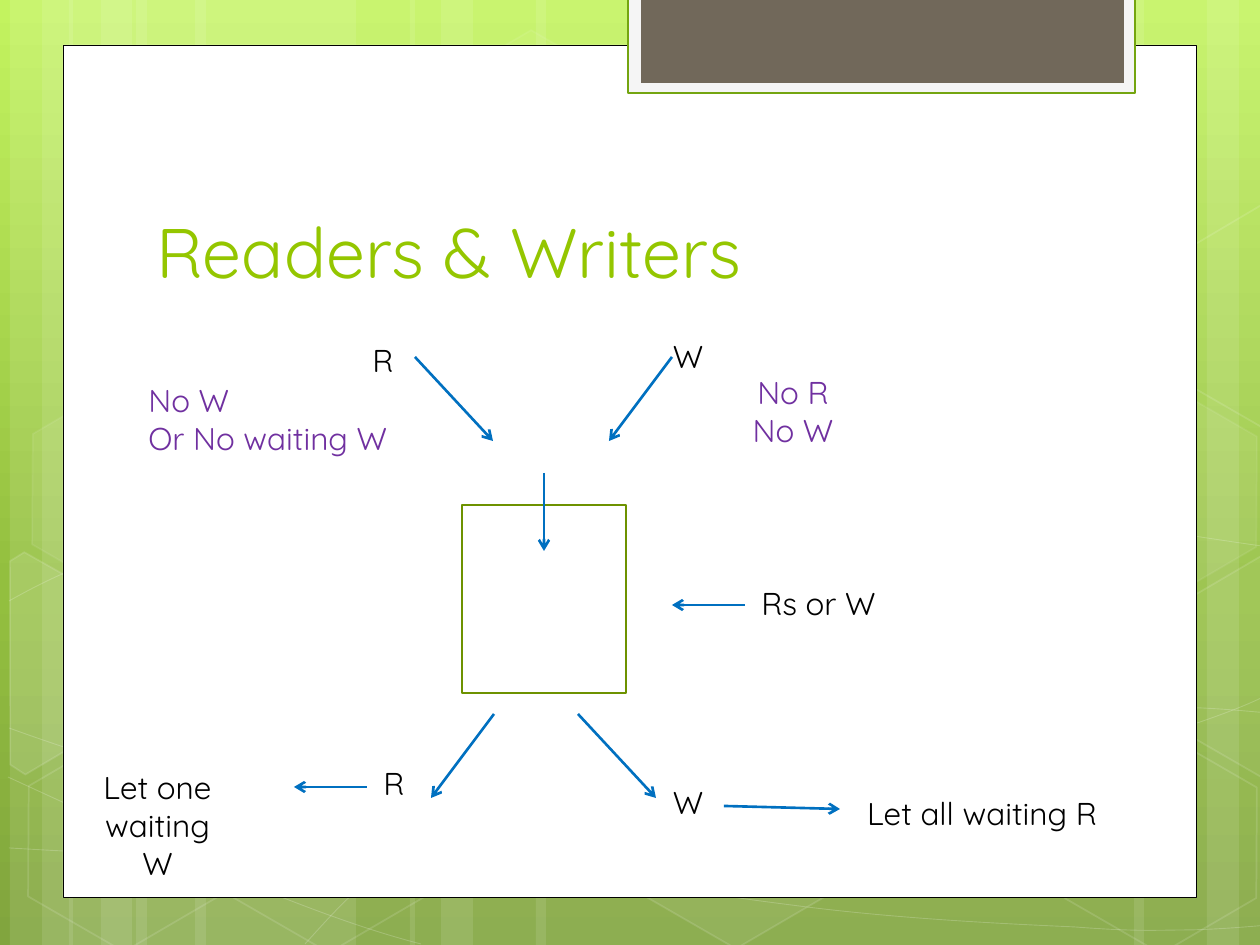
from copy import deepcopy
from dataclasses import dataclass
from math import cos, radians, sin
from typing import NamedTuple, Optional

from lxml.etree import SubElement
from pptx import Presentation
from pptx.dml.color import RGBColor
from pptx.enum.shapes import MSO_CONNECTOR as Connector, MSO_SHAPE as Preset
from pptx.enum.text import MSO_ANCHOR as Anchor, PP_ALIGN as Align
from pptx.oxml.ns import qn
from pptx.util import Pt

EMU_PER_PIXEL = 914400 / 126
TILT = 30


@dataclass(frozen=True)
class Theme:
    """Colours, font and type sizes of the slide."""
    font: str = "Quicksand"
    title_size: int = 40
    label_size: int = 18
    white: str = "FFFFFF"
    black: str = "000000"
    title: str = "94C600"
    purple: str = "7030A0"
    arrow: str = "0070C0"
    box_line: str = "6D9200"
    tab: str = "71685A"
    tab_frame: str = "F5F5F5"
    tab_line: str = "74A510"
    backdrop: tuple = ((0, "C3F35F"), (0.62, "93BF3F"), (1, "81A53E"))


THEME = Theme()


class Look(NamedTuple):
    """Fill and line; opacities are percentages."""
    fill: Optional[str] = None
    line: Optional[str] = None
    width: float = 1
    fill_opacity: int = 100
    line_opacity: int = 100


class Label(NamedTuple):
    """A text box, one string per paragraph."""
    lines: tuple
    left: int
    top: int
    width: int
    height: int
    color: str = THEME.black
    align: Align = Align.CENTER
    size: int = THEME.label_size
    anchor: Anchor = Anchor.TOP


class Hexagon(NamedTuple):
    """A backdrop hexagon with fill and line opacity."""
    left: int
    top: int
    fill_opacity: int
    line_opacity: int


class CutHexagon(NamedTuple):
    """A hexagon cut by the slide edge, tilted about its centre."""
    center: tuple
    fill_opacity: int
    points: list


class Arrow(NamedTuple):
    """An arrow between two points."""
    start: tuple
    end: tuple


def px(value: float) -> int:
    """Turn pixels into EMU."""
    return round(value * EMU_PER_PIXEL)


def rgb(color: str) -> RGBColor:
    """Read a hexadecimal colour."""
    return RGBColor.from_string(color)


def set_opacity(parent, percent: int) -> None:
    """Add an alpha value to the colour directly inside a fill."""
    if percent < 100:
        color = parent.find(qn("a:solidFill")).find(qn("a:srgbClr"))
        SubElement(color, qn("a:alpha"), val=str(percent * 1000))


def apply_look(shape, look: Look) -> None:
    """Give a shape its fill and line, without shadow."""
    shape.shadow.inherit = False
    properties = shape._element.spPr
    if look.fill:
        shape.fill.solid()
        shape.fill.fore_color.rgb = rgb(look.fill)
        set_opacity(properties, look.fill_opacity)
    else:
        shape.fill.background()
    if look.line:
        shape.line.color.rgb = rgb(look.line)
        shape.line.width = Pt(look.width)
        set_opacity(properties.find(qn("a:ln")), look.line_opacity)
    else:
        shape.line.fill.background()


def glass(fill_opacity: int, line_opacity: int) -> Look:
    """Return a translucent white look."""
    return Look(THEME.white if fill_opacity else None, THEME.white, 1,
                fill_opacity, line_opacity)


def add_box(page, left: int, top: int, width: int, height: int, look: Look,
            preset: Preset = Preset.RECTANGLE):
    """Draw a preset shape."""
    box = page.shapes.add_shape(preset, px(left), px(top), px(width), px(height))
    apply_look(box, look)
    return box


def add_outline(page, points: list, look: Look, close: bool):
    """Draw a freeform through the points."""
    builder = page.shapes.build_freeform(*points[0], scale=EMU_PER_PIXEL)
    builder.add_line_segments(points[1:], close=close)
    shape = builder.convert_to_shape()
    apply_look(shape, look)
    return shape


def add_curve(page, points: list) -> None:
    """Draw a chain of cubic curves: a start, then three points each."""
    look = Look(None, THEME.white, 0.5, line_opacity=20)
    shape = add_outline(page, points, look, False)
    segments = list(shape._element.spPr.iter(qn("a:lnTo")))
    for first in range(0, len(segments), 3):
        curve = SubElement(segments[first].getparent(), qn("a:cubicBezTo"))
        for segment in segments[first:first + 3]:
            curve.append(segment[0])
            segment.getparent().remove(segment)


def add_hexagon(page, hexagon: Hexagon) -> None:
    """Draw a tilted translucent hexagon."""
    look = glass(hexagon.fill_opacity, hexagon.line_opacity)
    box = add_box(page, hexagon.left, hexagon.top, 220, 192, look, Preset.HEXAGON)
    box.adjustments[0] = 0.285
    box.rotation = TILT


def add_cut_hexagon(page, hexagon: CutHexagon) -> None:
    """Draw an upright outline and tilt it onto the given points."""
    (mid_x, mid_y), c, s = hexagon.center, cos(radians(TILT)), sin(radians(TILT))
    upright = [(mid_x + (x - mid_x) * c + (y - mid_y) * s,
                mid_y - (x - mid_x) * s + (y - mid_y) * c) for x, y in hexagon.points]
    shape = add_outline(page, upright, glass(hexagon.fill_opacity, 12), True)
    shape.rotation = TILT


def add_label(page, label: Label) -> None:
    """Write a text box."""
    box = page.shapes.add_textbox(px(label.left), px(label.top),
                                  px(label.width), px(label.height))
    frame = box.text_frame
    frame.word_wrap = True
    frame.vertical_anchor = label.anchor
    frame.text = "\n".join(label.lines)
    for para in frame.paragraphs:
        para.alignment = label.align
        for span in para.runs:
            span.font.name = THEME.font
            span.font.size = Pt(label.size)
            span.font.color.rgb = rgb(label.color)


def add_arrow(page, arrow: Arrow) -> None:
    """Draw a straight line with an open arrowhead at its end."""
    line = page.shapes.add_connector(Connector.STRAIGHT, *map(px, arrow.start + arrow.end))
    line.line.color.rgb = rgb(THEME.arrow)
    line.line.width = Pt(1.5)
    properties = line._element.spPr
    SubElement(properties.find(qn("a:ln")), qn("a:tailEnd"), type="arrow")
    SubElement(properties, qn("a:effectLst"))


def paint_backdrop(page) -> None:
    """Fill the background with the vertical gradient."""
    fill = page.background.fill
    fill.gradient()
    fill.gradient_angle = 270
    stops = fill.gradient_stops[0]._gs.getparent()
    stops.append(deepcopy(stops[-1]))
    for stop, (position, color) in zip(fill.gradient_stops, THEME.backdrop):
        stop.position = position
        stop.color.rgb = rgb(color)


BANDS = [(136, 220), (10, 63), (42, 105), (195, 220), (69, 63), (101, 105),
         (924, 220), (1207, 63), (1134, 105), (536, 388), (410, 63), (441, 105)]
CURVES = [
    [(9, 848), (77, 852), (145, 856), (239, 854), (334, 853), (451, 851), (577, 838),
     (703, 825), (882, 802), (998, 777), (1113, 753), (1231, 715), (1269, 694)],
    [(9, 601), (45, 581), (82, 562), (152, 543), (224, 524), (326, 496), (437, 488),
     (549, 479), (685, 478), (824, 488), (963, 498), (1193, 537), (1269, 547)],
    [(8, 777), (160, 847), (311, 916), (421, 944)],
    [(9, 728), (48, 742), (88, 756), (161, 776), (234, 795), (344, 827), (450, 848),
     (554, 869), (687, 892), (791, 905), (896, 919), (1008, 924), (1075, 927),
     (1140, 932), (1158, 930), (1191, 930), (1223, 929), (1246, 927), (1269, 925)],
    [(305, 944), (328, 919), (350, 893), (381, 871), (411, 848), (454, 823), (489, 805),
     (524, 788), (546, 780), (592, 767), (638, 755), (722, 737), (766, 728),
     (811, 719), (818, 719), (857, 717), (896, 713), (958, 709), (1000, 708),
     (1045, 707), (1116, 708), (1116, 708), (1116, 708), (1201, 708), (1201, 708),
     (1223, 709), (1245, 711), (1256, 712), (1267, 713), (1264, 712), (1268, 713)],
]
HEXAGONS = [Hexagon(421, 45, 4, 8), Hexagon(626, 742, 6, 12), Hexagon(14, 745, 0, 12),
            Hexagon(18, 393, 7, 8), Hexagon(219, 746, 0, 12), Hexagon(949, 571, 10, 12),
            Hexagon(1051, 747, 0, 12), Hexagon(1051, 396, 7, 8)]
CUT_HEXAGONS = [
    CutHexagon((45, 674), 10, [(10, 561), (24, 552), (121, 607), (120, 718),
                               (25, 774), (10, 765)]),
    CutHexagon((1241, 655), 4, [(1167, 611), (1261, 556), (1271, 562), (1271, 772),
                                (1263, 777), (1167, 722)]),
    CutHexagon((1241, 304), 0, [(1167, 261), (1261, 205), (1273, 212), (1271, 422),
                                (1263, 427), (1167, 372)]),
]
PANELS = [
    (63, 45, 1134, 853, Look(THEME.white, THEME.black, 0.5)),
    (628, -3, 507, 96, Look(THEME.tab_frame, THEME.tab_line, 1.25)),
    (641, -3, 483, 86, Look(THEME.tab)),
    (462, 505, 164, 188, Look(None, THEME.box_line, 1.25)),
]
ARROWS = [Arrow((415, 357), (493, 441)), Arrow((672, 357), (609, 441)),
          Arrow((544, 473), (544, 551)), Arrow((494, 714), (431, 798)),
          Arrow((578, 714), (656, 798)), Arrow((745, 605), (672, 605)),
          Arrow((724, 806), (840, 809)), Arrow((367, 787), (294, 787))]
LABELS = [
    Label(("Readers & Writers",), 144, 141, 968, 158, THEME.title, Align.LEFT,
          THEME.title_size, Anchor.BOTTOM),
    Label(("R",), 325, 335, 116, 50),
    Label(("W",), 630, 331, 116, 50),
    Label(("No R", "No W"), 735, 367, 116, 89, THEME.purple),
    Label(("No W", "Or No waiting W"), 136, 375, 312, 89, THEME.purple, Align.LEFT),
    Label(("R",), 336, 758, 116, 50),
    Label(("W",), 630, 777, 116, 50),
    Label(("Rs or W",), 745, 578, 147, 50),
    Label(("Let all waiting R",), 840, 788, 284, 50),
    Label(("Let one waiting W",), 84, 762, 147, 127),
]


def main() -> None:
    """Build and save the slide."""
    deck = Presentation()
    deck.slide_width, deck.slide_height = px(1260), px(945)
    page = deck.slides.add_slide(deck.slide_layouts[6])
    paint_backdrop(page)
    for left, width in BANDS:
        add_box(page, left, 0, width, 945, Look(THEME.white, fill_opacity=10))
    for curve in CURVES:
        add_curve(page, curve)
    for hexagon in HEXAGONS:
        add_hexagon(page, hexagon)
    for cut_hexagon in CUT_HEXAGONS:
        add_cut_hexagon(page, cut_hexagon)
    for panel in PANELS:
        add_box(page, *panel)
    for arrow in ARROWS:
        add_arrow(page, arrow)
    for label in LABELS:
        add_label(page, label)
    deck.save("out.pptx")


main()
